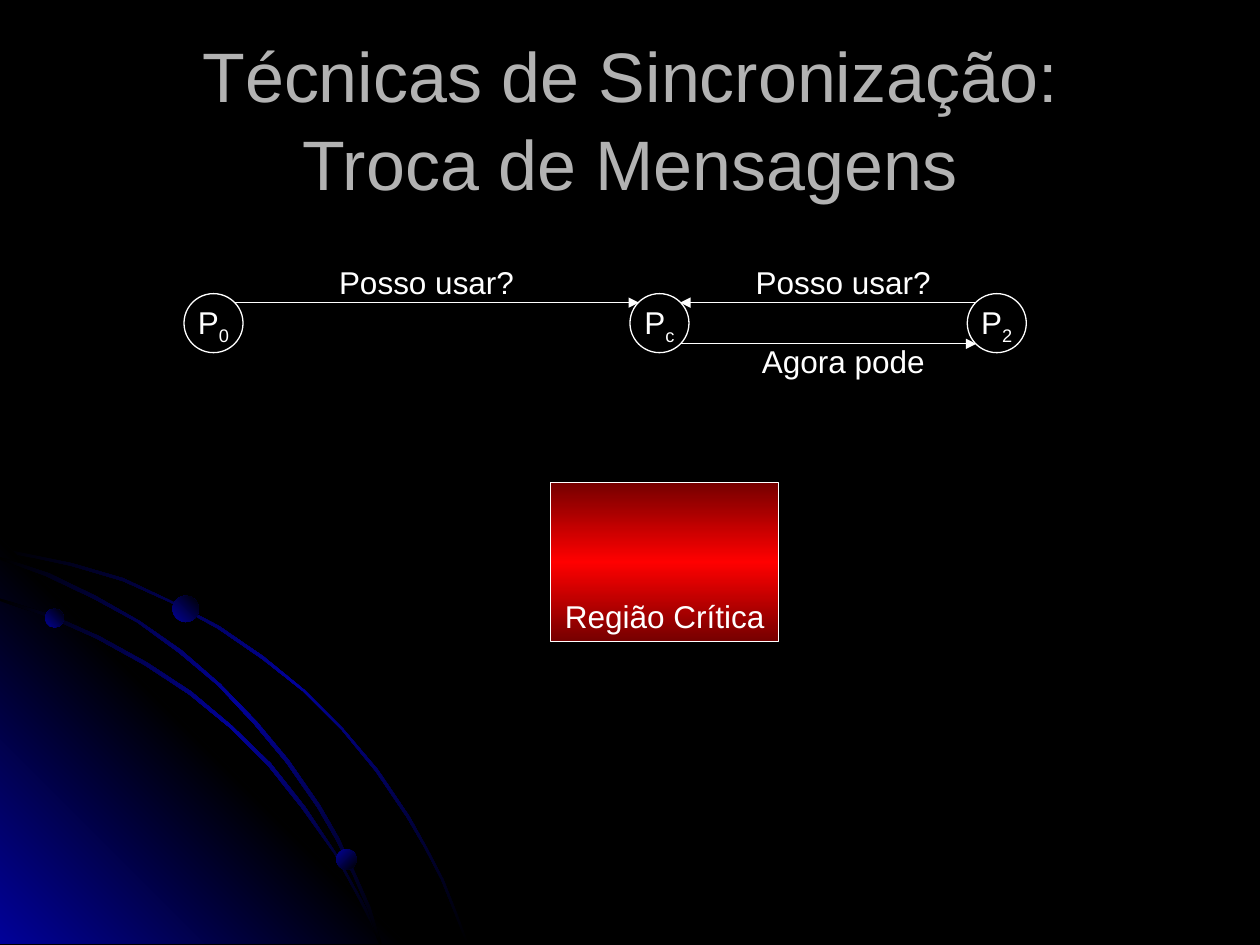
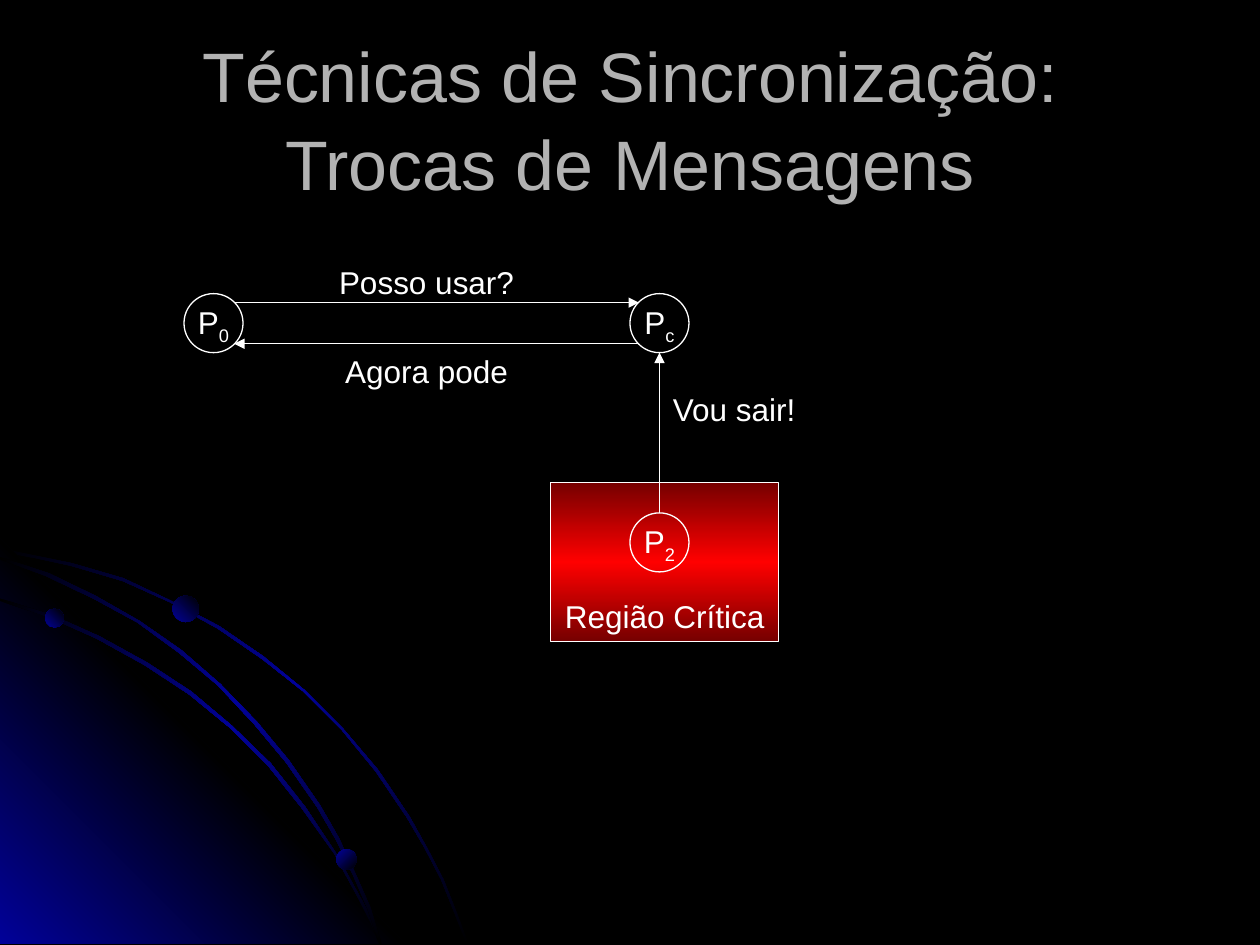
from lxml import etree
from pptx import Presentation
from pptx.dml.color import RGBColor as Rgb
from pptx.enum.shapes import MSO_CONNECTOR as Link, MSO_SHAPE as Form
from pptx.enum.text import MSO_ANCHOR as Anchor, MSO_AUTO_SIZE as Auto, PP_ALIGN as Align
from pptx.oxml import parse_xml
from pptx.oxml.ns import qn
from pptx.util import Cm, Pt

HUES = {"back": "000000", "title": "B2B2B2", "ink": "FFFFFF",
        "blue": "010199", "red": "FF0000", "dark": "760000"}
FONT = "Arial"
NS = "http://schemas.openxmlformats.org/drawingml/2006/main"

# Orbit outlines, in hundredths of an inch
ARCS = [
    [(57, 447), (28, 441), (0, 435), (0, 438), (28, 443), (56, 449), (97, 461),
     (135, 478), (173, 499), (208, 523), (241, 549), (271, 579), (298, 612),
     (323, 649), (337, 673), (350, 698), (360, 723), (370, 749), (372, 749),
     (362, 723), (352, 698), (339, 673), (325, 648), (300, 611), (272, 578),
     (242, 548), (209, 521), (174, 497), (136, 477), (98, 459)],
    [(285, 714), (294, 732), (301, 749), (303, 749), (296, 730), (286, 712),
     (266, 676), (242, 640), (215, 606), (184, 576), (152, 549), (117, 526),
     (79, 505), (41, 488), (0, 475), (0, 477), (39, 490), (77, 507), (115, 528),
     (150, 551), (183, 578), (213, 608), (240, 642), (265, 677)],
    [(0, 442), (0, 444), (36, 457), (74, 475), (109, 494), (142, 518), (173, 544),
     (202, 575), (227, 605), (252, 641), (267, 667), (280, 694), (292, 722),
     (301, 749), (303, 749), (294, 720), (282, 693), (269, 665), (254, 639),
     (229, 603), (204, 573), (175, 543), (144, 516), (111, 493), (76, 473),
     (39, 455)],
]
GLOW = [(322, 749), (0, 749), (0, 427)]
# Planets: left, top, size in cm, angle
DOTS = [(0.91, 12.27, 0.38, 315), (6.78, 17.12, 0.41, 45), (3.48, 12.01, 0.53, 315)]

# Diagram grid in cm
SIZE = 1.19
LEFT, MID, RIGHT = 3.71, 12.7, 19.5
TOP, LOW = 5.92, 10.34
NEAR, FAR = 0.18, SIZE - 0.18  # where a circle's diagonals meet its rim
ASK = 5.13  # top of the labels above the arrows
SPAN1, SPAN2 = 6.3, 14.7  # left of the labels in each gap


class Deck:
    def __init__(self):
        self.deck = Presentation()
        self.deck.slide_width, self.deck.slide_height = Cm(25.4), Cm(19.05)
        self.base = self.deck.slide_layouts[5]
        fill = self.base.background.fill
        fill.solid()
        fill.fore_color.rgb = Rgb.from_string(HUES["back"])
        self.slide = None

    def page(self, text):
        self.slide = self.deck.slides.add_slide(self.base)
        head = self.slide.shapes.title
        head.left, head.top, head.width, head.height = Cm(1.27), Cm(0.76), Cm(22.86), Cm(3.18)
        frame = head.text_frame
        frame.text = text
        frame.auto_size = Auto.NONE
        frame.vertical_anchor = Anchor.MIDDLE
        self.style(frame, 40, "title")

    def style(self, frame, size=18, hue="ink"):
        for para in frame.paragraphs:
            para.alignment = Align.CENTER
            para.line_spacing = 1.05
            for run in para.runs:
                run.font.name, run.font.size = FONT, Pt(size)
                run.font.color.rgb = Rgb.from_string(HUES[hue])

    def blend(self, shape, hues, angle):
        """Fill with evenly spaced stops; the angle runs clockwise."""
        step = 100000 // (len(hues) - 1)
        stops = "".join(f'<a:gs pos="{i * step}"><a:srgbClr val="{HUES[hue]}"/></a:gs>'
                        for i, hue in enumerate(hues))
        grad = parse_xml(f'<a:gradFill xmlns:a="{NS}" rotWithShape="1"><a:gsLst>{stops}</a:gsLst>'
                         f'<a:lin ang="{angle * 60000}" scaled="0"/></a:gradFill>')
        shape.fill.background()
        props = shape._element.spPr
        props.replace(props.find(qn("a:noFill")), grad)

    def shape(self, form, x, y, w, h, line=True):
        item = self.slide.shapes.add_shape(form, Cm(x), Cm(y), Cm(w), Cm(h))
        item.shadow.inherit = False
        item.fill.background()
        if line:
            self.stroke(item)
        else:
            item.line.fill.background()
        return item

    def stroke(self, item):
        item.line.color.rgb = Rgb.from_string(HUES["ink"])
        item.line.width = Pt(0.75)

    def outline(self, points):
        pen = self.slide.shapes.build_freeform(*points[0], scale=Cm(0.0254))
        pen.add_line_segments(points[1:], close=True)
        item = pen.convert_to_shape()
        item.shadow.inherit = False
        item.line.fill.background()
        return item

    def orbit(self):
        """Draw the corner art and hand it to the shared layout."""
        parts = []
        for i, points in enumerate([ARCS[0], GLOW, *ARCS[1:]]):
            part = self.outline(points)
            if points is GLOW:
                self.blend(part, ["blue", "back", "blue"], 315)
            else:
                self.blend(part, ["back", "blue", "back"], 45)
            parts.append(part)
        for x, y, size, angle in DOTS:
            part = self.shape(Form.OVAL, x, y, size, size, line=False)
            self.blend(part, ["blue", "back"], angle)
            parts.append(part)
        for num, part in enumerate(parts, 100):
            part._element.nvSpPr.cNvPr.set("id", str(num))
            self.base.shapes._spTree.append(part._element)

    def node(self, sub, x, y):
        item = self.shape(Form.OVAL, x, y, SIZE, SIZE)
        frame = item.text_frame
        frame.word_wrap = False
        frame.vertical_anchor = Anchor.MIDDLE
        para = frame.paragraphs[0]
        para.text = "P"
        run = para.add_run()
        run.text = sub
        self.style(frame)
        run._r.get_or_add_rPr().set("baseline", "-25000")
        return item

    def region(self):
        item = self.shape(Form.RECTANGLE, 11.1, 9.73, 4.6, 3.2)
        self.blend(item, ["dark", "red", "dark"], 90)
        frame = item.text_frame
        frame.text = "Região Crítica"
        frame.word_wrap = False
        frame.vertical_anchor = Anchor.BOTTOM
        self.style(frame)

    def arrow(self, x1, y1, x2, y2):
        item = self.slide.shapes.add_connector(Link.STRAIGHT, Cm(x1), Cm(y1), Cm(x2), Cm(y2))
        self.stroke(item)
        etree.SubElement(item.line._get_or_add_ln(), qn("a:tailEnd"), type="triangle")
        etree.SubElement(item._element.spPr, qn("a:effectLst"))
        return item

    def label(self, text, x, y):
        frame = self.slide.shapes.add_textbox(Cm(x), Cm(y), Cm(4.6), Cm(1.02)).text_frame
        frame.word_wrap = True
        frame.text = text
        self.style(frame)

    def scene(self):
        """Draw what both slides hold: region, P0, Pc and the first request."""
        self.region()
        self.node("0", LEFT, TOP)
        self.node("c", MID, TOP)
        self.arrow(LEFT + FAR, TOP + NEAR, MID + NEAR, TOP + NEAR)
        self.label("Posso usar?", SPAN1, ASK)


def main():
    show = Deck()

    # Slide 1: both processes ask, P2 gets the answer
    show.page("Técnicas de Sincronização:\vTroca de Mensagens")
    show.orbit()
    show.scene()
    show.node("2", RIGHT, TOP)
    show.arrow(RIGHT + NEAR, TOP + NEAR, MID + FAR, TOP + NEAR)
    show.label("Posso usar?", SPAN2, ASK)
    show.arrow(MID + FAR, TOP + FAR, RIGHT + NEAR, TOP + FAR)
    show.label("Agora pode", SPAN2, 6.73)

    # Slide 2: P2 leaves the region, P0 gets the answer
    show.page("Técnicas de Sincronização:\vTrocas de Mensagens")
    show.scene()
    user = show.node("2", MID, LOW)
    exit_line = show.arrow(MID + SIZE / 2, LOW, MID + SIZE / 2, TOP + SIZE)
    exit_line.begin_connect(user, 0)
    show.label("Vou sair!", 12.5, 7.7)
    show.arrow(MID + NEAR, TOP + FAR, LEFT + FAR, TOP + FAR)
    show.label("Agora pode", SPAN1, 6.93)

    show.deck.save("out.pptx")


if __name__ == "__main__":
    main()
